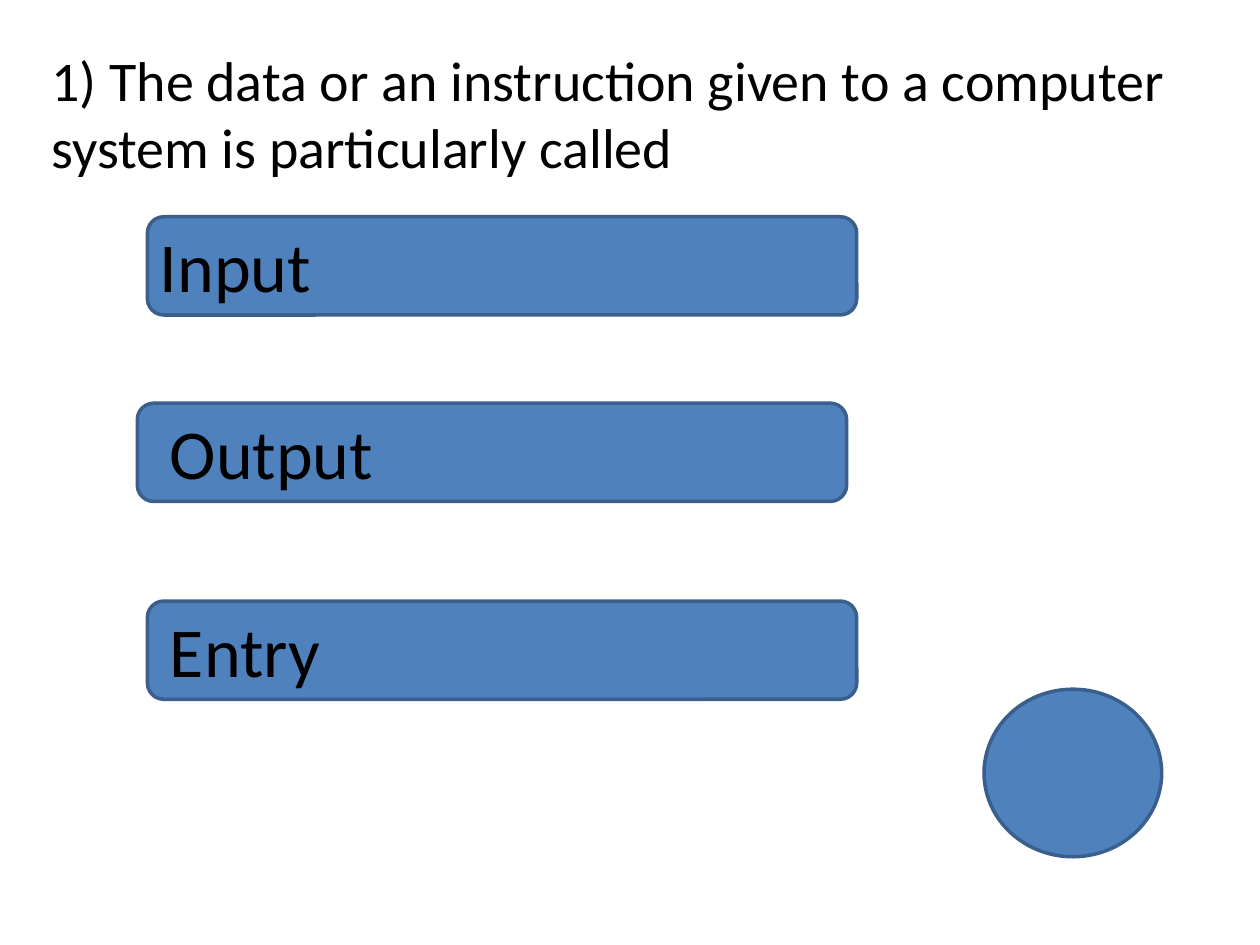
import pptx
import pptx.util
import pptx.dml.color
import pptx.enum.shapes
from pptx.util import Inches

THEME = {
    "font": "Calibri",
    "text": "000000",
    "fill": "4F81BD",
    "line": "3A5F8C",
    "border": 2,
    "question": 32,
    "answer": 40,
}
KIND = pptx.enum.shapes.MSO_SHAPE


def color(name):
    """Return a theme colour."""
    return pptx.dml.color.RGBColor.from_string(THEME[name])


def add_form(kind, left, top, width, height):
    """Add a filled and outlined shape."""
    form = slide.shapes.add_shape(
        kind, Inches(left), Inches(top), Inches(width), Inches(height))
    form.shadow.inherit = False
    form.fill.solid()
    form.fill.fore_color.rgb = color("fill")
    form.line.color.rgb = color("line")
    form.line.width = pptx.util.Pt(THEME["border"])


def add_text(words, size, left, top, width, height):
    """Add a wrapped text box in the theme font."""
    box = slide.shapes.add_textbox(
        Inches(left), Inches(top), Inches(width), Inches(height))
    box.text_frame.word_wrap = True
    box.text_frame.text = words
    font = box.text_frame.paragraphs[0].runs[0].font
    font.name = THEME["font"]
    font.size = pptx.util.Pt(THEME[size])
    font.color.rgb = color("text")


deck = pptx.Presentation()
deck.slide_width = Inches(10)
deck.slide_height = Inches(7.5)
slide = deck.slides.add_slide(deck.slide_layouts[6])

add_text("1) The data or an instruction given to a computer system "
         "is particularly called", "question", 0.31, 0.31, 9.06, 1.18)

# Answer, bar left, text left, top
answers = [
    ("Input", 1.17, 1.17, 1.72),
    ("Output", 1.09, 1.25, 3.2),
    ("Entry", 1.17, 1.25, 4.77),
]
for answer, bar_left, text_left, top in answers:
    add_form(KIND.ROUNDED_RECTANGLE, bar_left, top, 5.63, 0.78)
    add_text(answer, "answer", text_left, top, 5.08, 0.77)

add_form(KIND.OVAL, 7.81, 5.47, 1.41, 1.33)

deck.save("out.pptx")
